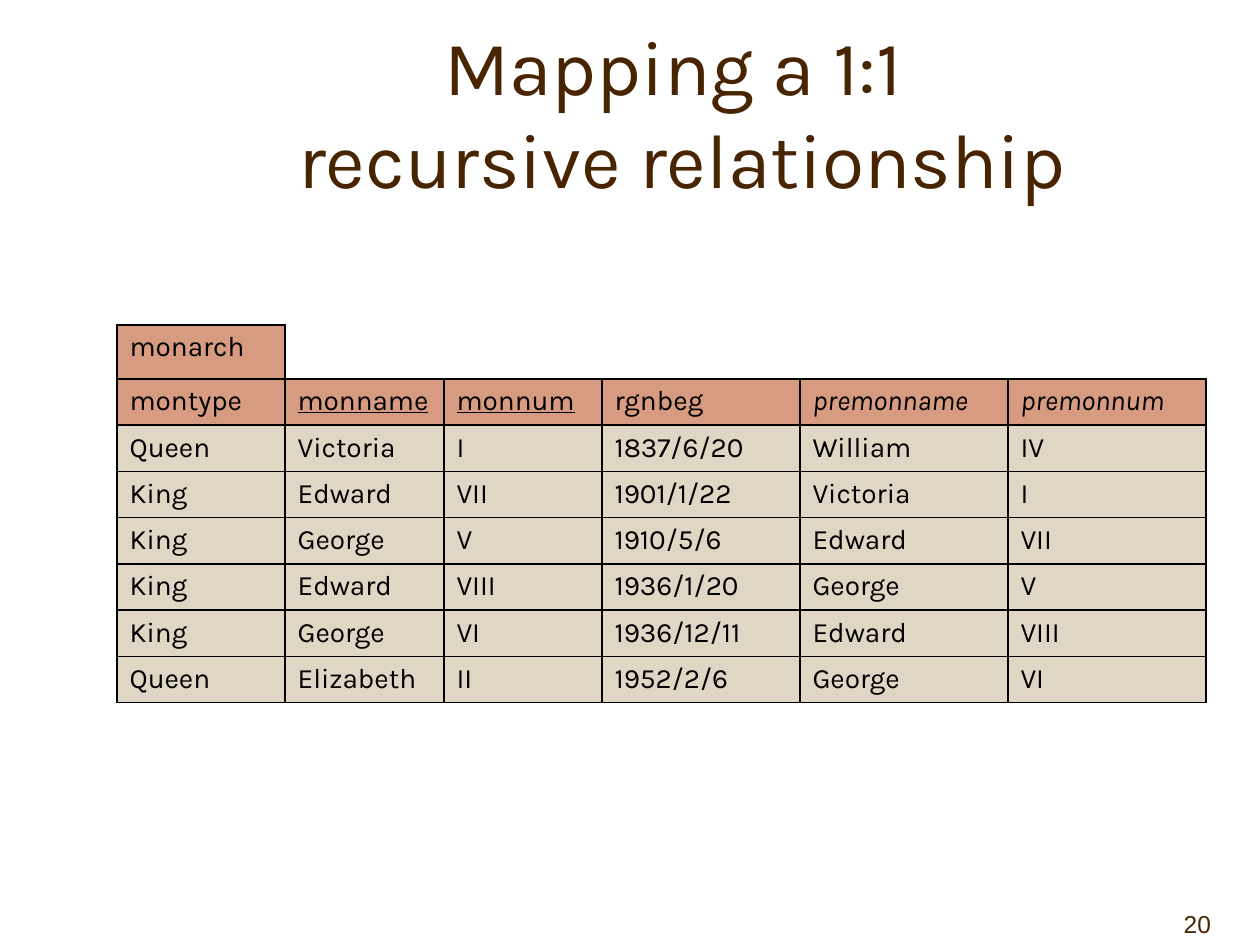
from dataclasses import dataclass

from lxml import etree
from pptx import Presentation
from pptx.dml.color import RGBColor
from pptx.enum.text import MSO_ANCHOR, MSO_AUTO_SIZE, PP_ALIGN
from pptx.oxml.ns import qn
from pptx.util import Emu, Pt

BOTTOM = MSO_ANCHOR.BOTTOM
FIXED = MSO_AUTO_SIZE.NONE
CENTER, RIGHT, JUSTIFY, LEFT = (
    PP_ALIGN.CENTER, PP_ALIGN.RIGHT, PP_ALIGN.JUSTIFY, PP_ALIGN.LEFT)
SCALE = 914400 // 126
TITLE_ONLY = 5


@dataclass(frozen=True)
class Theme:
    """Colours, fonts and type sizes of the slide."""
    brown: str = "482400"
    black: str = "000000"
    head: str = "D69B80"
    body: str = "DFD6C3"
    font: str = "Karla"
    plain: str = "Arial"
    title: int = 44
    cell: int = 16
    page: int = 14
    gap: int = 3
    line: int = 1


THEME = Theme()
COLS = [168, 159, 158, 198, 208, 198]
NAME_H, ROW_H = 54, 45
NAME = "monarch"
HEADS = ["montype", "monname", "monnum", "rgnbeg", "premonname", "premonnum"]
KEYS = {"monname", "monnum"}
LINKS = {"premonname", "premonnum"}
ROWS = [
    ["Queen", "Victoria", "I", "1837/6/20", "William", "IV"],
    ["King", "Edward", "VII", "1901/1/22", "Victoria", "I"],
    ["King", "George", "V", "1910/5/6", "Edward", "VII"],
    ["King", "Edward", "VIII", "1936/1/20", "George", "V"],
    ["King", "George", "VI", "1936/12/11", "Edward", "VIII"],
    ["Queen", "Elizabeth", "II", "1952/2/6", "George", "VI"],
]


def px(num):
    """Turn pixels into EMU."""
    return Emu(num * SCALE)


def add_run(para, text, size, color, font=THEME.font):
    """Add one run of styled text and return its font."""
    run = para.add_run()
    run.text = text
    run.font.size = Pt(size)
    run.font.name = font
    run.font.color.rgb = RGBColor.from_string(color)
    return run.font


def add_title(slide, box, lines):
    """Place the title in its box, one run for each line."""
    shape = slide.shapes.title
    shape.left, shape.top, shape.width, shape.height = map(px, box)
    frame = shape.text_frame
    frame.word_wrap = True
    frame.auto_size = FIXED
    frame.vertical_anchor = BOTTOM
    para = frame.paragraphs[0]
    para.alignment = CENTER
    for pos, line in enumerate(lines):
        if pos:
            para.add_line_break()
        add_run(para, line, THEME.title, THEME.brown)


def add_page(slide, box, text):
    """Place the page number at the lower right of its box."""
    frame = slide.shapes.add_textbox(*map(px, box)).text_frame
    frame.word_wrap = True
    frame.vertical_anchor = BOTTOM
    frame.margin_right = px(49)
    para = frame.paragraphs[0]
    para.alignment = RIGHT
    add_run(para, text, THEME.page, THEME.brown, THEME.plain)


def set_edges(cell, sides):
    """Draw the named sides of a cell and hide the others."""
    props = cell._tc.get_or_add_tcPr()
    for side in "LRTB":
        line = etree.SubElement(props, qn(f"a:ln{side}"), w=str(Pt(THEME.line)))
        if side in sides:
            fill = etree.SubElement(line, qn("a:solidFill"))
            etree.SubElement(fill, qn("a:srgbClr"), val=THEME.black)
        else:
            etree.SubElement(line, qn("a:noFill"))


def fill_cell(cell, text, color, last=False):
    """Give a cell its borders, fill and text."""
    set_edges(cell, "LRTB")
    cell.fill.solid()
    cell.fill.fore_color.rgb = RGBColor.from_string(color)
    para = cell.text_frame.paragraphs[0]
    para.alignment = LEFT if last else JUSTIFY
    if not last:
        para.space_before = para.space_after = Pt(THEME.gap)
    font = add_run(para, text, THEME.cell, THEME.black)
    if text in KEYS:
        font.underline = True
    if text in LINKS:
        font.italic = True


def add_grid(slide, left, top):
    """Place the relation table with its name tab above the headings."""
    grid = [HEADS, *ROWS]
    high = NAME_H + ROW_H * len(grid)
    table = slide.shapes.add_table(
        len(grid) + 1, len(COLS), px(left), px(top), px(sum(COLS)), px(high)).table
    table.first_row = table.horz_banding = False
    for col, width in zip(table.columns, COLS):
        col.width = px(width)
    for pos, row in enumerate(table.rows):
        row.height = px(ROW_H if pos else NAME_H)
    fill_cell(table.cell(0, 0), NAME, THEME.head)
    for col in range(1, len(COLS)):
        blank = table.cell(0, col)
        set_edges(blank, "LB" if col == 1 else "B")
        blank.fill.background()
    for pos, texts in enumerate(grid, 1):
        color = THEME.head if pos == 1 else THEME.body
        for col, text in enumerate(texts):
            fill_cell(table.cell(pos, col), text, color, pos == len(grid))


def main():
    """Build the slide and save it."""
    deck = Presentation()
    deck.slide_width, deck.slide_height = px(1260), px(945)
    slide = deck.slides.add_slide(deck.slide_layouts[TITLE_ONLY])
    add_page(slide, (1134, 882, 126, 63), "20")
    add_title(slide, (147, 53, 1071, 157),
              ["Mapping a 1:1 ", "recursive relationship"])
    add_grid(slide, 117, 325)
    deck.save("out.pptx")


if __name__ == "__main__":
    main()
